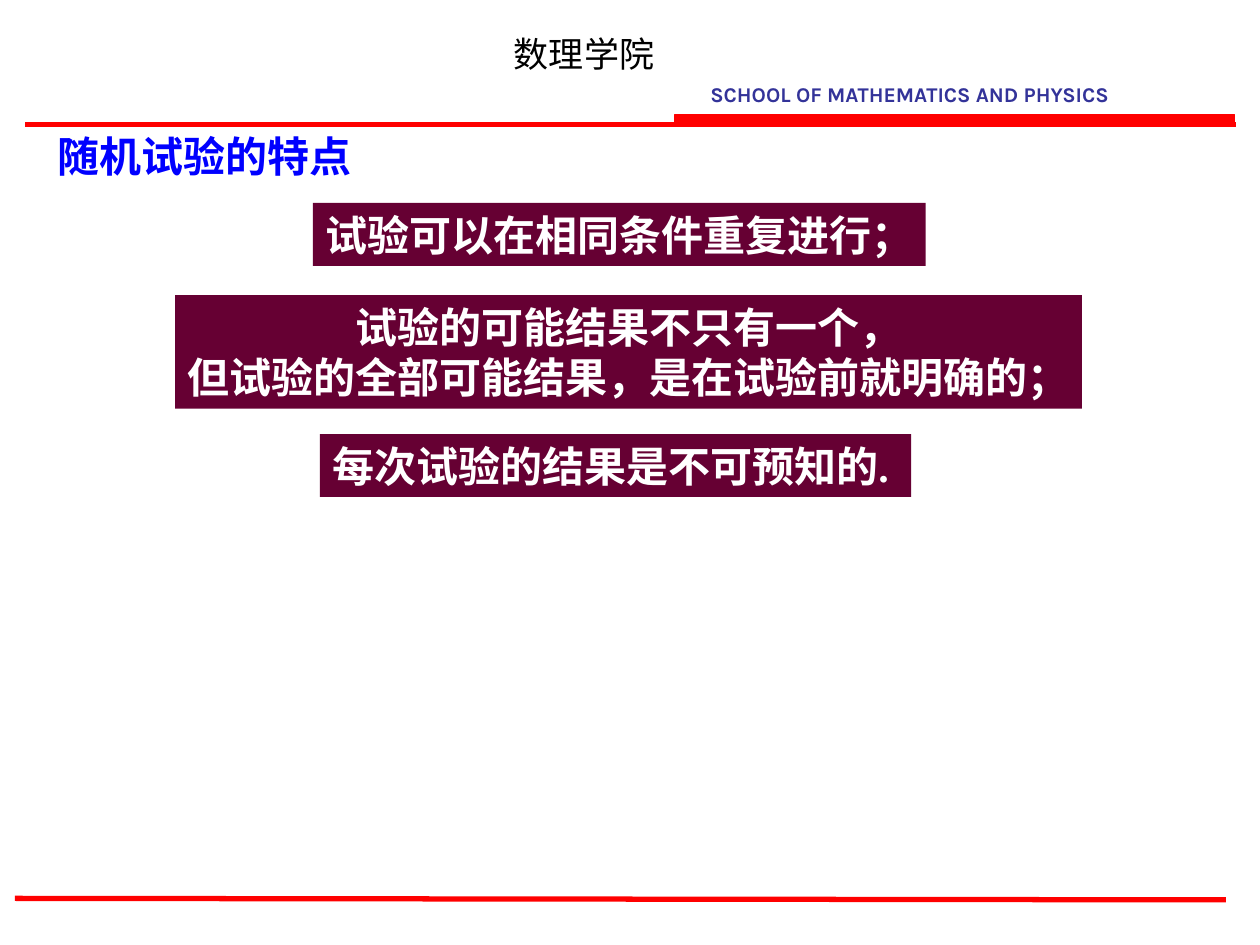
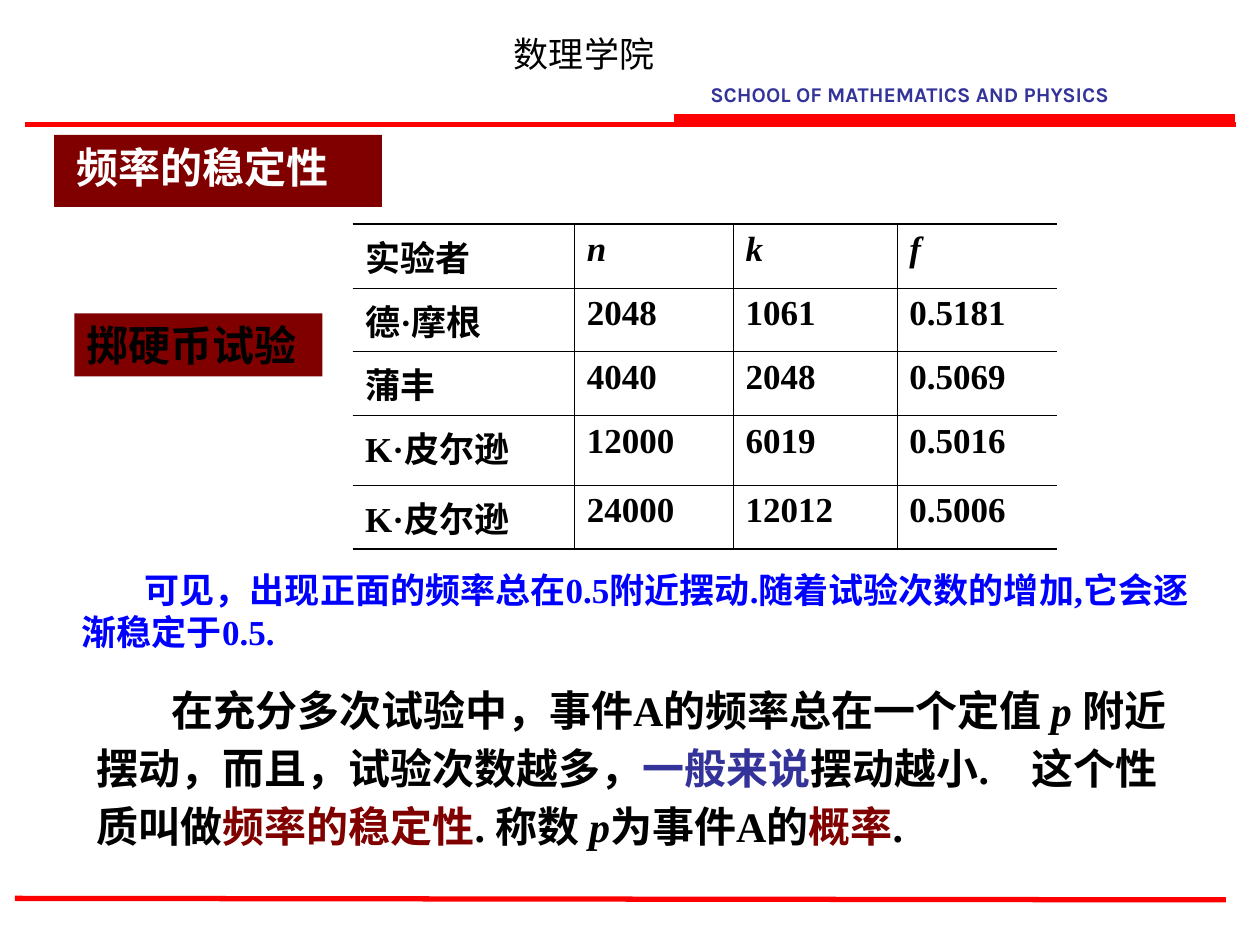
from dataclasses import dataclass

from lxml import etree
from pptx import Presentation
from pptx.dml.color import RGBColor
from pptx.enum.shapes import MSO_CONNECTOR, MSO_SHAPE
from pptx.enum.text import MSO_ANCHOR, MSO_AUTO_SIZE, PP_ALIGN
from pptx.oxml.ns import qn
from pptx.util import Cm, Pt

LEFT, CENTER = PP_ALIGN.LEFT, PP_ALIGN.CENTER
TOP = MSO_ANCHOR.TOP
NO_AUTOFIT = MSO_AUTO_SIZE.NONE
RECTANGLE = MSO_SHAPE.RECTANGLE
STRAIGHT = MSO_CONNECTOR.STRAIGHT
TITLE_ONLY = 5

COLORS = {
    "red": "FF0000",
    "navy": "333399",
    "blue": "0000FF",
    "plum": "660033",
    "maroon": "800000",
    "black": "000000",
    "white": "FFFFFF",
}
LATIN_FONT = "Times New Roman"
CHINESE_FONT = "Noto Sans CJK SC"
TEXT_INSETS = {
    "margin_left": Cm(0.25),
    "margin_right": Cm(0.25),
    "margin_top": Cm(0.13),
    "margin_bottom": Cm(0.13),
}


@dataclass(frozen=True)
class Span:
    text: str
    color: str = ""
    italic: bool = False


@dataclass(frozen=True)
class TextStyle:
    color: str
    size: float = 24
    font: str = LATIN_FONT
    bold: bool = True
    align: PP_ALIGN = LEFT
    wrap: bool = True
    indent: float = 0
    line_spacing: float = 1.0


@dataclass(frozen=True)
class Area:
    """A rectangle on the page, in centimetres."""

    left: float
    top: float
    width: float
    height: float

    def lengths(self) -> tuple:
        return Cm(self.left), Cm(self.top), Cm(self.width), Cm(self.height)


@dataclass(frozen=True)
class Panel:
    area: Area
    lines: tuple
    style: TextStyle
    fill: str = ""


@dataclass(frozen=True)
class Rule:
    left: float
    top: float
    right: float
    bottom: float


HEADER_RULES = (Rule(0.51, 2.51, 24.92, 2.51), Rule(0.3, 18.11, 24.71, 18.14))
HEADER_BAND = Area(13.61, 2.31, 11.28, 0.2)
HEADER_TEXTS = (
    Panel(Area(10.11, 0.53, 3.33, 1.12), ("数理学院",),
          TextStyle("black", 20, CHINESE_FONT, bold=False, align=CENTER, wrap=False)),
    Panel(Area(14.07, 1.52, 9.07, 0.76), ("SCHOOL OF MATHEMATICS AND PHYSICS",),
          TextStyle("navy", 12, "Karla", wrap=False)),
)

FEATURES_TITLE = Panel(Area(0.91, 2.51, 6.43, 1.27), ("随机试验的特点",),
                       TextStyle("blue", wrap=False))
CENTERED_WHITE = TextStyle("white", align=CENTER, wrap=False)
FEATURES = (
    Panel(Area(6.31, 4.09, 12.35, 1.27), ("试验可以在相同条件重复进行；",),
          CENTERED_WHITE, "plum"),
    Panel(Area(3.53, 5.95, 18.28, 2.29),
          ("试验的可能结果不只有一个，", "但试验的全部可能结果，是在试验前就明确的；"),
          CENTERED_WHITE, "plum"),
    Panel(Area(6.45, 8.75, 11.92, 1.27), ("每次试验的结果是不可预知的.",),
          TextStyle("white", wrap=False), "plum"),
)

STABILITY_TITLE = Panel(Area(1.09, 2.72, 6.61, 1.45), ("频率的稳定性",),
                        TextStyle("white", font=CHINESE_FONT, indent=0.2), "maroon")
COIN_LABEL = Panel(Area(1.5, 6.32, 5, 1.27), ("掷硬币试验",), TextStyle("black"), "maroon")
OBSERVATION = Panel(
    Area(1.4, 11.33, 22.91, 1.96),
    ("可见，出现正面的频率总在0.5附近摆动.随着试验次数的增加,它会逐渐稳定于0.5.",),
    TextStyle("blue", 20, indent=1.27))
DEFINITION = Panel(
    Area(1.7, 13.51, 22.61, 3.76),
    ((
        Span("在充分多次试验中，事件A的频率总在一个定值 "),
        Span("p ", italic=True),
        Span("附近摆动，而且，试验次数越多，"),
        Span("一般来说", "navy"),
        Span("摆动越小.　这个性质叫做"),
        Span("频率的稳定性", "maroon"),
        Span(". 称数 "),
        Span("p", italic=True),
        Span("为事件A的"),
        Span("概率", "maroon"),
        Span("."),
    ),),
    TextStyle("black", indent=1.5, line_spacing=1.15))

TOSSES_AREA = Area(7.11, 4.52, 14.2, 6.2)
TOSSES_COLUMNS = (4.47, 3.2, 3.3, 3.23)
TOSSES_ROWS = (1.17, 1.17, 1.17, 1.4, 1.29)
TOSSES = (
    ("实验者", "n", "k", "f"),
    ("德·摩根", "2048", "1061", "0.5181"),
    ("蒲丰", "4040", "2048", "0.5069"),
    ("K·皮尔逊", "12000", "6019", "0.5016"),
    ("K·皮尔逊", "24000", "12012", "0.5006"),
)
TOSSES_STYLE = TextStyle("black", 20)
THIN, THICK = 0.45, 1.08


def rgb(name: str) -> RGBColor:
    return RGBColor.from_string(COLORS[name])


def set_all(target, values: dict) -> None:
    for name, value in values.items():
        setattr(target, name, value)


def write_span(para, span: Span, style: TextStyle) -> None:
    run = para.add_run()
    run.text = span.text
    set_all(run.font, {"name": style.font, "size": Pt(style.size),
                       "bold": style.bold, "italic": span.italic})
    run.font.color.rgb = rgb(span.color or style.color)
    east_asian = etree.SubElement(run.font._element, qn("a:ea"))
    east_asian.set("typeface", CHINESE_FONT)


def write_lines(frame, lines: tuple, style: TextStyle) -> None:
    """Fill a text frame; a line is a string or a tuple of spans."""
    for index, line in enumerate(lines):
        para = frame.add_paragraph() if index else frame.paragraphs[0]
        set_all(para, {"alignment": style.align, "line_spacing": style.line_spacing})
        if style.indent:
            para._p.get_or_add_pPr().set("indent", str(Cm(style.indent)))
        for span in (Span(line),) if isinstance(line, str) else line:
            write_span(para, span, style)


def format_panel(box, panel: Panel) -> None:
    if panel.fill:
        box.fill.solid()
        box.fill.fore_color.rgb = rgb(panel.fill)
    set_all(box.text_frame, {**TEXT_INSETS, "word_wrap": panel.style.wrap,
                             "auto_size": NO_AUTOFIT, "vertical_anchor": TOP})
    write_lines(box.text_frame, panel.lines, panel.style)


def add_panel(page, panel: Panel) -> None:
    if panel.fill:
        box = page.shapes.add_shape(RECTANGLE, *panel.area.lengths())
        box.shadow.inherit = False
        box.line.fill.background()
    else:
        box = page.shapes.add_textbox(*panel.area.lengths())
    format_panel(box, panel)


def place_title(page, panel: Panel) -> None:
    title = page.shapes.title
    names = ("left", "top", "width", "height")
    set_all(title, dict(zip(names, panel.area.lengths())))
    format_panel(title, panel)


def add_rule(page, rule: Rule) -> None:
    line = page.shapes.add_connector(STRAIGHT, Cm(rule.left), Cm(rule.top),
                                     Cm(rule.right), Cm(rule.bottom))
    line.line.color.rgb = rgb("red")
    line.line.width = Pt(3)
    etree.SubElement(line._element.spPr, qn("a:effectLst"))


def add_page(deck, title: Panel):
    """Add a page with the school header, the red rules and its title."""
    page = deck.slides.add_slide(deck.slide_layouts[TITLE_ONLY])
    for rule in HEADER_RULES:
        add_rule(page, rule)
    band = page.shapes.add_shape(RECTANGLE, *HEADER_BAND.lengths())
    band.shadow.inherit = False
    band.fill.solid()
    band.fill.fore_color.rgb = band.line.color.rgb = rgb("red")
    band.line.width = Pt(0.75)
    for panel in HEADER_TEXTS:
        add_panel(page, panel)
    place_title(page, title)
    return page


def set_borders(cell, widths: dict) -> None:
    """Draw the four cell borders; a width of 0 hides one."""
    properties = cell._tc.get_or_add_tcPr()
    for index, (side, width) in enumerate(widths.items()):
        border = etree.Element(qn(f"a:{side}"), w=str(Pt(width)))
        if width:
            paint = etree.SubElement(border, qn("a:solidFill"))
            etree.SubElement(paint, qn("a:srgbClr"), val=COLORS["black"])
        else:
            etree.SubElement(border, qn("a:noFill"))
        properties.insert(index, border)


def add_tosses_table(page) -> None:
    last_row, last_column = len(TOSSES) - 1, len(TOSSES[0]) - 1
    table = page.shapes.add_table(len(TOSSES), len(TOSSES[0]), *TOSSES_AREA.lengths()).table
    set_all(table, {"first_row": False, "horz_banding": False})
    for column, width in zip(table.columns, TOSSES_COLUMNS):
        column.width = Cm(width)
    for row, height in zip(table.rows, TOSSES_ROWS):
        row.height = Cm(height)
    for r, values in enumerate(TOSSES):
        for c, value in enumerate(values):
            cell = table.cell(r, c)
            cell.fill.background()
            set_all(cell, TEXT_INSETS)
            is_symbol = r == 0 and c > 0
            write_lines(cell.text_frame, ((Span(value, italic=is_symbol),),), TOSSES_STYLE)
            set_borders(cell, {
                "lnL": THIN if c else 0,
                "lnR": THIN if c < last_column else 0,
                "lnT": THIN if r else THICK,
                "lnB": THIN if r < last_row else THICK,
            })


def main() -> None:
    deck = Presentation()
    deck.slide_width, deck.slide_height = Cm(25.4), Cm(19.05)

    features_page = add_page(deck, FEATURES_TITLE)
    for panel in FEATURES:
        add_panel(features_page, panel)

    stability_page = add_page(deck, STABILITY_TITLE)
    add_tosses_table(stability_page)
    for panel in (COIN_LABEL, OBSERVATION, DEFINITION):
        add_panel(stability_page, panel)

    deck.save("out.pptx")


if __name__ == "__main__":
    main()
